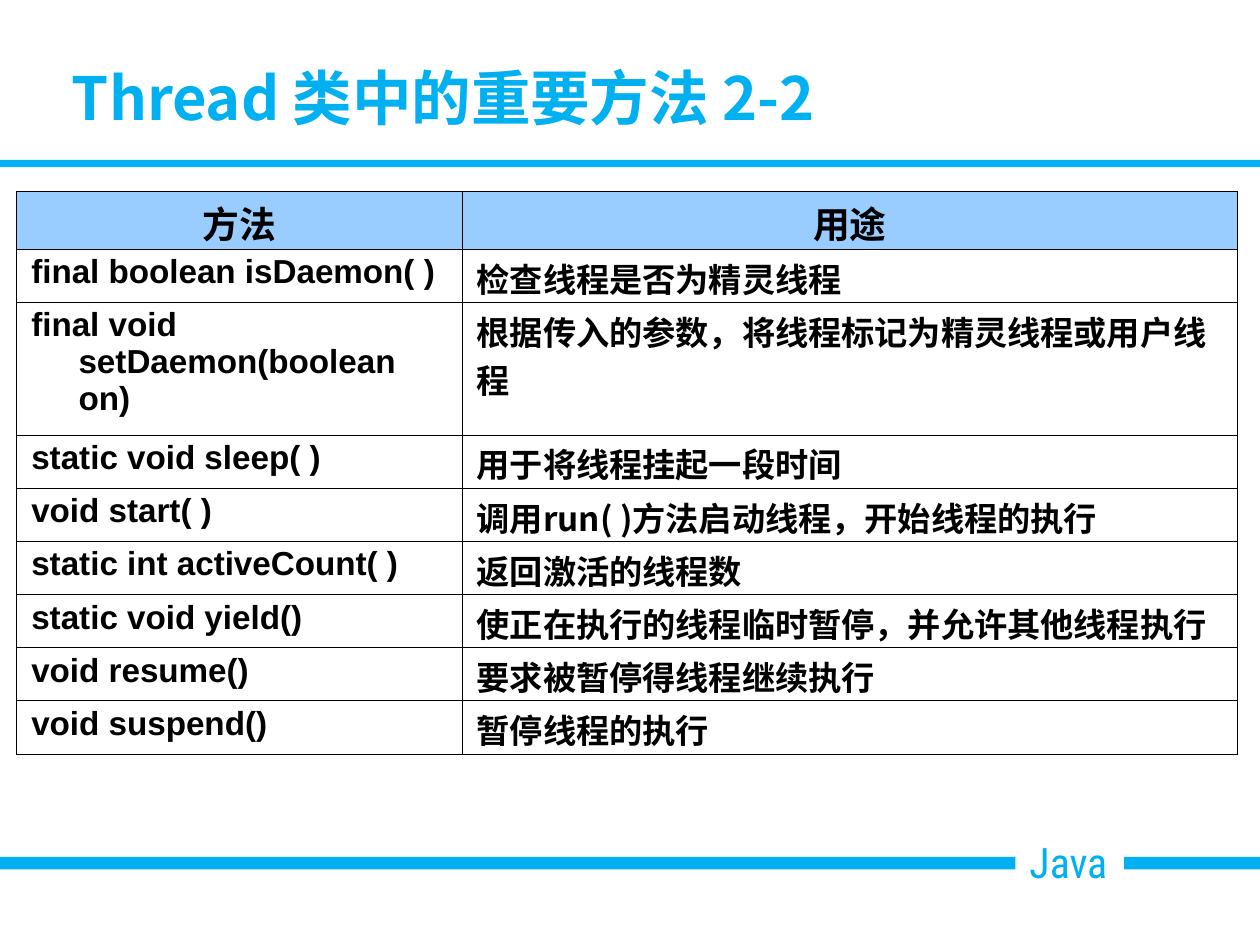
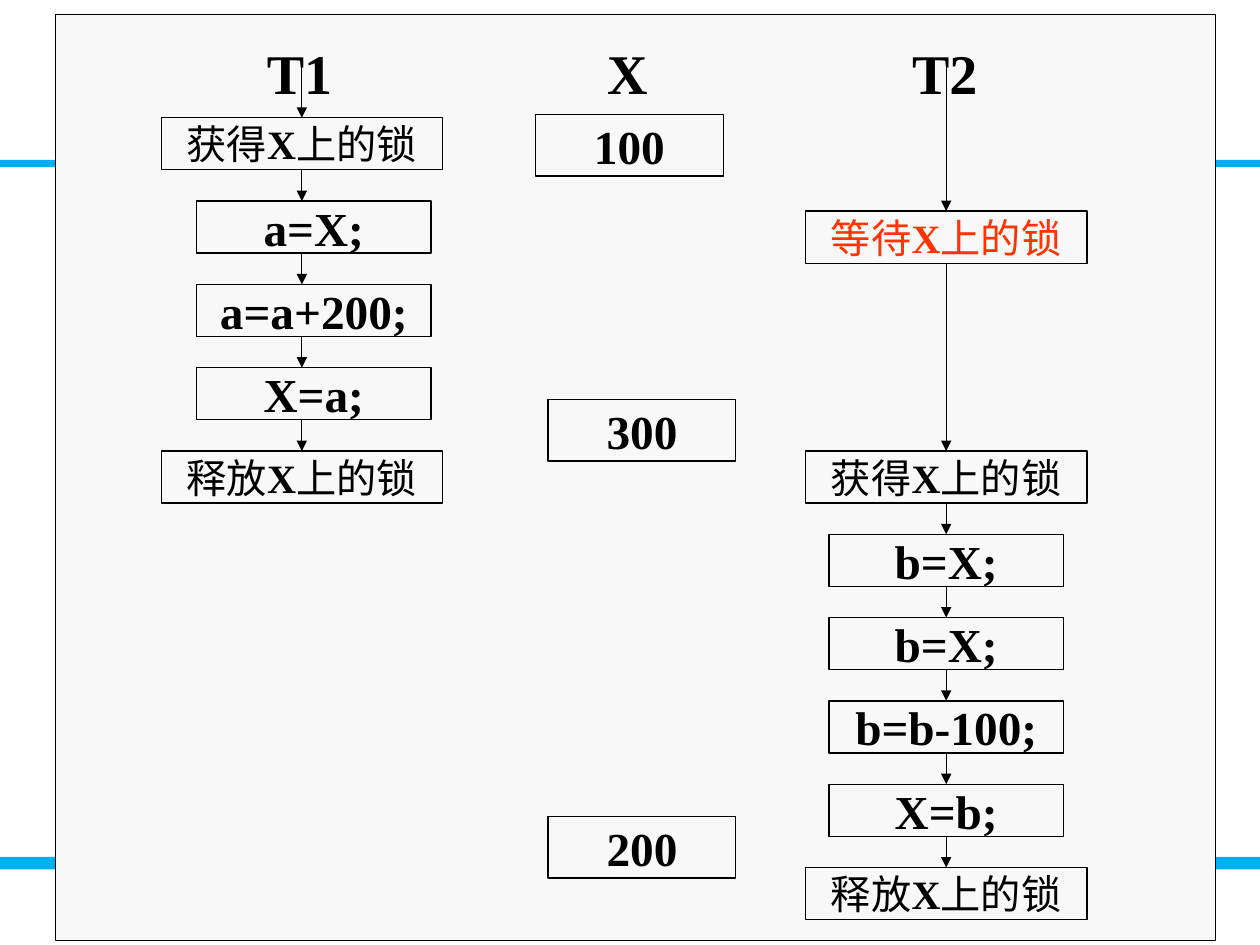
import dataclasses
import itertools

import lxml.etree
import pptx
import pptx.dml.color
import pptx.enum.shapes
import pptx.enum.text
import pptx.oxml.ns
import pptx.util

Pt = pptx.util.Pt
qn = pptx.oxml.ns.qn
ALIGN = pptx.enum.text.PP_ALIGN
ANCHOR = pptx.enum.text.MSO_ANCHOR


@dataclasses.dataclass(frozen=True)
class Theme:
    accent: str = "00B0F0"
    ink: str = "000000"
    paper: str = "FFFFFF"
    panel: str = "F8F8F8"
    header: str = "99CCFF"
    waiting: str = "FF3300"
    cjk_font: str = "Noto Sans CJK SC"
    latin_font: str = "Arial"
    diagram_font: str = "Times New Roman"
    brand_font: str = "Roboto Condensed"
    title_size: float = 34
    header_size: float = 21
    cell_size: float = 19
    brand_size: float = 24
    lane_size: float = 32
    code_size: float = 27
    lock_size: float = 23
    line_width: float = 0.75
    border_width: float = 0.45


@dataclasses.dataclass(frozen=True)
class Box:
    left: float
    top: float
    width: float
    height: float

    def inner(self, left, top, width, height):
        return Box(self.left + left, self.top + top, width, height)

    def lengths(self):
        return [Pt(value) for value in dataclasses.astuple(self)]


THEME = Theme()
PAGE = Box(0, 0, 720, 540)

METHODS = [
    ("方法", "用途"),
    ("final boolean isDaemon( )", "检查线程是否为精灵线程"),
    ("final void setDaemon(boolean on)", "根据传入的参数，将线程标记为精灵线程或用户线程"),
    ("static void sleep( )", "用于将线程挂起一段时间"),
    ("void start( )", "调用run( )方法启动线程，开始线程的执行"),
    ("static int activeCount( )", "返回激活的线程数"),
    ("static void yield()", "使正在执行的线程临时暂停，并允许其他线程执行"),
    ("void resume()", "要求被暂停得线程继续执行"),
    ("void suspend()", "暂停线程的执行"),
]
T1_STEPS = [(0, "获得"), (1, "a=X;"), (2, "a=a+200;"), (3, "X=a;"), (4, "释放")]
T2_STEPS = [(1.12, "等待"), (4, "获得"), (5, "b=X;"), (6, "b=X;"),
            (7, "b=b-100;"), (8, "X=b;"), (9, "释放")]
LOCK_ACTIONS = ("获得", "等待", "释放")


def rgb(color):
    return pptx.dml.color.RGBColor.from_string(color)


def style_runs(paragraph, font, size, color, bold=False):
    for run in paragraph.runs:
        run.font.name = font
        run.font.size = Pt(size)
        run.font.color.rgb = rgb(color)
        run.font.bold = bold
        east_asian = run.font._element.makeelement(
            qn("a:ea"), {"typeface": THEME.cjk_font})
        run.font._element.find(qn("a:latin")).addnext(east_asian)


def set_frame(text_frame, anchor, wrap, side=7.2, edge=3.6):
    text_frame.auto_size = pptx.enum.text.MSO_AUTO_SIZE.NONE
    text_frame.vertical_anchor = anchor
    text_frame.word_wrap = wrap
    text_frame.margin_left = text_frame.margin_right = Pt(side)
    text_frame.margin_top = text_frame.margin_bottom = Pt(edge)


def add_rectangle(slide, box, fill, line=None):
    shape = slide.shapes.add_shape(
        pptx.enum.shapes.MSO_SHAPE.RECTANGLE, *box.lengths())
    shape.shadow.inherit = False
    shape.fill.solid()
    shape.fill.fore_color.rgb = rgb(fill)
    if line:
        shape.line.color.rgb = rgb(line)
        shape.line.width = Pt(THEME.line_width)
    else:
        shape.line.fill.background()
    return shape


def add_bands(slide, page):
    add_rectangle(slide, page.inner(0, 489.6, page.width, 7.2), THEME.accent)
    add_rectangle(slide, page.inner(0, 91.4, page.width, 4.1), THEME.accent)


def add_brand(slide, box):
    shape = add_rectangle(slide, box, THEME.paper)
    set_frame(shape.text_frame, ANCHOR.TOP, False, 8, 4)
    shape.text_frame.text = "Java"
    paragraph = shape.text_frame.paragraphs[0]
    paragraph.alignment = ALIGN.LEFT
    style_runs(paragraph, THEME.brand_font, THEME.brand_size, THEME.accent)


def set_title(slide, box, text):
    title = slide.shapes.title
    title.left, title.top, title.width, title.height = box.lengths()
    set_frame(title.text_frame, ANCHOR.MIDDLE, True, 8, 4)
    title.text_frame.text = text
    paragraph = title.text_frame.paragraphs[0]
    paragraph.alignment = ALIGN.LEFT
    style_runs(paragraph, THEME.cjk_font, THEME.title_size, THEME.accent, True)


def add_borders(cell):
    properties = cell._tc.get_or_add_tcPr()
    for side in ("a:lnL", "a:lnR", "a:lnT", "a:lnB"):
        border = lxml.etree.SubElement(
            properties, qn(side), w=str(Pt(THEME.border_width)))
        fill = lxml.etree.SubElement(border, qn("a:solidFill"))
        lxml.etree.SubElement(fill, qn("a:srgbClr"), val=THEME.ink)


def fill_cell(cell, text, row, column):
    add_borders(cell)
    cell.fill.solid()
    cell.fill.fore_color.rgb = rgb(THEME.paper if row else THEME.header)
    cell.margin_left = cell.margin_right = Pt(8.5)
    cell.margin_top, cell.margin_bottom = Pt(2.6), Pt(0)
    cell.text = text
    paragraph = cell.text_frame.paragraphs[0]
    if row == 0:
        paragraph.alignment = ALIGN.CENTER
    elif column == 0:
        properties = paragraph._p.get_or_add_pPr()
        properties.set("marL", str(Pt(27)))
        properties.set("indent", str(Pt(-27)))
    font = THEME.cjk_font if row and column else THEME.latin_font
    size = THEME.cell_size if row else THEME.header_size
    style_runs(paragraph, font, size, THEME.ink, True)


def add_method_table(slide, box, rows):
    frame = slide.shapes.add_table(len(rows), 2, *box.lengths())
    table = frame.table
    table.first_row = table.horz_banding = False
    for column, width in zip(table.columns, (254.6, box.width - 254.6)):
        column.width = Pt(width)
    special_heights = {0: 32.9, 2: 75.8}
    for index, texts in enumerate(rows):
        table.rows[index].height = Pt(special_heights.get(index, 30.4))
        for column, text in enumerate(texts):
            fill_cell(table.cell(index, column), text, index, column)


def add_node(slide, box, parts, size, color=THEME.ink):
    shape = add_rectangle(slide, box, THEME.panel, THEME.ink)
    set_frame(shape.text_frame, ANCHOR.MIDDLE, False)
    paragraph = shape.text_frame.paragraphs[0]
    paragraph.alignment = ALIGN.CENTER
    for part in parts:
        paragraph.add_run().text = part
    style_runs(paragraph, THEME.diagram_font, size, color)
    for run in paragraph.runs:
        run.font.bold = run.text.isascii()
    return shape


def add_arrow(slide, axis, start, end, source=None, target=None):
    connector = slide.shapes.add_connector(
        pptx.enum.shapes.MSO_CONNECTOR.STRAIGHT, axis, start, axis, end)
    connector.line.color.rgb = rgb(THEME.ink)
    connector.line.width = Pt(THEME.line_width)
    line = connector.line._get_or_add_ln()
    lxml.etree.SubElement(line, qn("a:tailEnd"), type="triangle")
    lxml.etree.SubElement(connector._element.spPr, qn("a:effectLst"))
    tolerance = Pt(0.1)
    if source and abs(source.left + source.width // 2 - axis) < tolerance:
        connector.begin_connect(source, 2)
    if target and abs(target.left + target.width // 2 - axis) < tolerance:
        connector.end_connect(target, 0)


def add_lane_label(slide, box, text):
    label = slide.shapes.add_textbox(*box.lengths())
    set_frame(label.text_frame, ANCHOR.TOP, True)
    label.text_frame.text = text
    style_runs(label.text_frame.paragraphs[0], THEME.diagram_font,
               THEME.lane_size, THEME.ink, True)


def add_lane(slide, box, steps, code_shift=0):
    row_pitch, node_height = 47.6, 29.8
    axis = box.width / 2
    nodes = []
    for row, action in steps:
        top = 58.9 + row * row_pitch
        if action in LOCK_ACTIONS:
            node_box = box.inner(0, top, box.width, node_height)
            parts, size = (action, "X", "上的锁"), THEME.lock_size
        else:
            node_box = box.inner(axis - 67 + code_shift, top, 134, node_height)
            parts, size = (action,), THEME.code_size
        color = THEME.waiting if action == "等待" else THEME.ink
        nodes.append(add_node(slide, node_box, parts, size, color))
    center = Pt(box.left + axis)
    add_arrow(slide, center, Pt(box.top + 29), nodes[0].top, target=nodes[0])
    for source, target in itertools.pairwise(nodes):
        add_arrow(slide, center, source.top + source.height, target.top,
                  source, target)


def add_lock_diagram(slide, box):
    add_rectangle(slide, box, THEME.panel, THEME.ink)
    for left, text in ((113.7, "T1"), (308.2, "X"), (482.4, "T2")):
        add_lane_label(slide, box.inner(left, 9.8, 84, 46), text)
    for left, top, text in ((274.3, 56.9, "100"), (281.5, 219.8, "300"),
                            (281.5, 458, "200")):
        add_node(slide, box.inner(left, top, 107.3, 35.3), (text,),
                 THEME.code_size)
    add_lane(slide, box.inner(60.4, 0, 160.8, box.height), T1_STEPS, 6.8)
    add_lane(slide, box.inner(428.6, 0, 160.8, box.height), T2_STEPS)


def build_method_slide(presentation):
    slide = presentation.slides.add_slide(presentation.slide_layouts[5])
    add_bands(slide, PAGE)
    add_brand(slide, PAGE.inner(580.3, 473.8, 61.9, 36.7))
    add_method_table(slide, PAGE.inner(9.4, 109.4, 697.9, 321), METHODS)
    set_title(slide, PAGE.inner(33.1, 33.8, 648, 42.5),
              "Thread 类中的重要方法 2-2")


def build_lock_slide(presentation):
    slide = presentation.slides.add_slide(presentation.slide_layouts[6])
    add_bands(slide, PAGE)
    add_lock_diagram(slide, PAGE.inner(31.7, 8.4, 663.1, 529.2))


def main():
    presentation = pptx.Presentation()
    presentation.slide_width = Pt(PAGE.width)
    presentation.slide_height = Pt(PAGE.height)
    build_method_slide(presentation)
    build_lock_slide(presentation)
    presentation.save("out.pptx")


if __name__ == "__main__":
    main()
